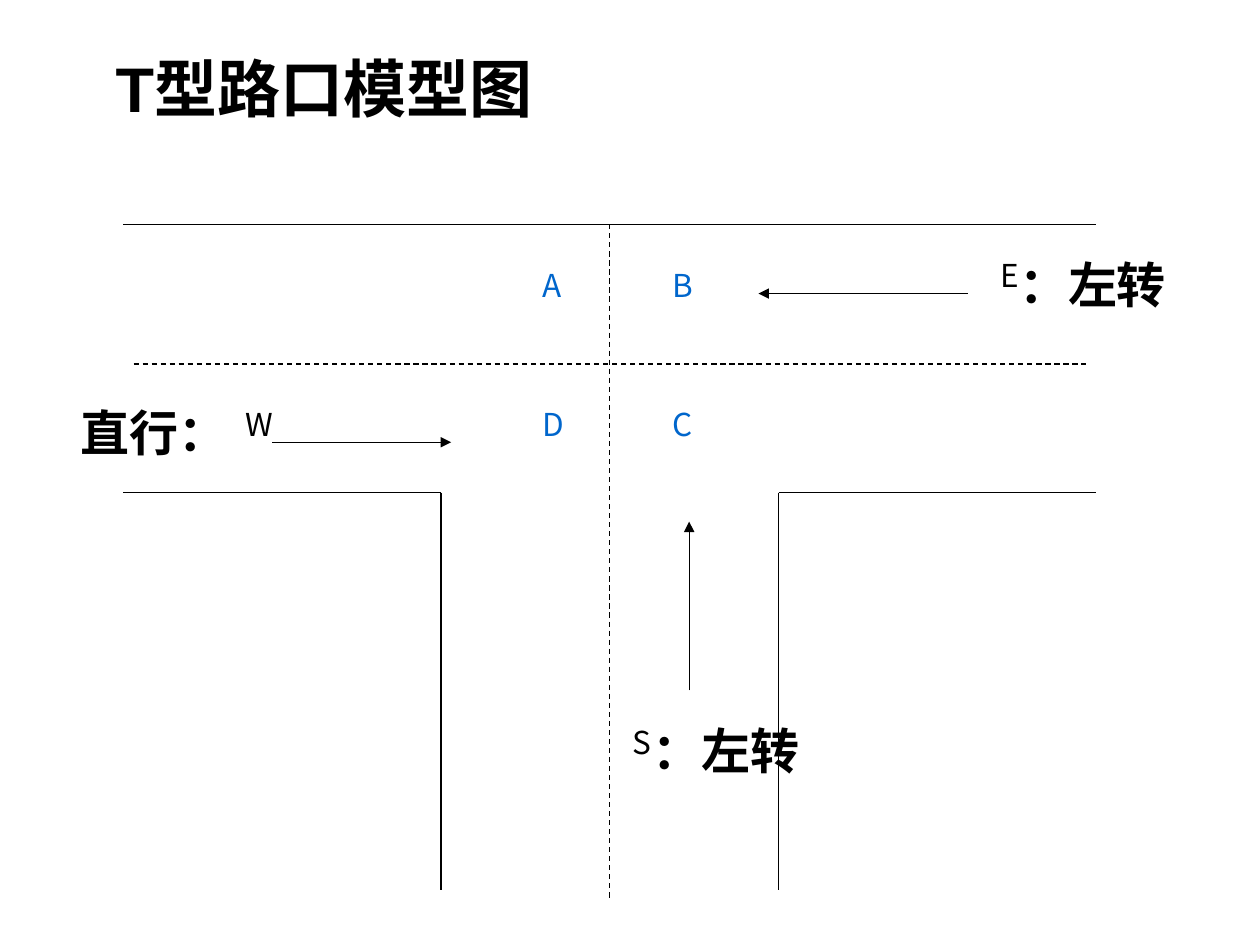
from typing import NamedTuple

from lxml import etree
from pptx import Presentation
from pptx import util as u
from pptx.dml.color import RGBColor
from pptx.enum import dml, shapes, text
from pptx.oxml.ns import qn

BLACK, BLUE = "000000", "0066CC"
LATIN_FONT, CJK_FONT = "Arial", "Noto Sans CJK SC"

# Road geometry in inches
ROAD_LEFT, ROAD_RIGHT = 0.98, 8.7
ROAD_TOP, ROAD_BOTTOM = 1.78, 3.91
BRANCH_LEFT, BRANCH_RIGHT, BRANCH_END = 3.5, 6.18, 7.06
CENTER_X, CENTER_Y = (BRANCH_LEFT + BRANCH_RIGHT) / 2, 2.89
LABEL_WIDTH, LABEL_HEIGHT = 0.25, 0.57


class Line(NamedTuple):
    x1: float
    y1: float
    x2: float
    y2: float
    dashed: bool = False
    arrow: bool = False


class Label(NamedTuple):
    content: str
    left: float
    top: float
    width: float = LABEL_WIDTH
    height: float = LABEL_HEIGHT
    size: int = 18
    color: str = BLACK
    font: str = CJK_FONT
    bold: bool = False
    wrap: bool = False


ROAD_LINES = [
    Line(ROAD_LEFT, ROAD_TOP, ROAD_RIGHT, ROAD_TOP),
    Line(ROAD_LEFT, ROAD_BOTTOM, BRANCH_LEFT, ROAD_BOTTOM),
    Line(BRANCH_RIGHT, ROAD_BOTTOM, ROAD_RIGHT, ROAD_BOTTOM),
    *(Line(x, ROAD_BOTTOM, x, BRANCH_END) for x in (BRANCH_LEFT, BRANCH_RIGHT)),
    Line(1.06, CENTER_Y, 8.62, CENTER_Y, dashed=True),
    Line(CENTER_X, ROAD_TOP, CENTER_X, 7.14, dashed=True),
]
TRAFFIC_ARROWS = [
    Line(7.68, 2.33, 6.02, 2.33, arrow=True),
    Line(2.16, 3.51, 3.58, 3.51, arrow=True),
    Line(5.47, 5.48, 5.47, 4.14, arrow=True),
]
ZONES = [
    Label(name, left, top, color=BLUE)
    for name, left, top in (
        ("A", 4.21, 2.1), ("B", 5.24, 2.1), ("C", 5.24, 3.2), ("D", 4.21, 3.2),
    )
]
DIRECTIONS = [Label("E", 7.84, 2.02), Label("W", 1.85, 3.2), Label("S", 4.92, 5.72)]
BOLD_TEXT = {"font": LATIN_FONT, "bold": True}
MOVEMENTS = [
    Label("：左转", 7.99, 2.02, 1.73, size=28, wrap=True, **BOLD_TEXT),
    Label("直行：", 0.54, 3.2, 1.37, size=28, **BOLD_TEXT),
    Label("：左转", 5.08, 5.72, 2.05, size=28, wrap=True, **BOLD_TEXT),
]
TITLE = Label("T型路口模型图", 0.82, 0.41, 7.73, 0.7, size=36, wrap=True, **BOLD_TEXT)


def rgb(color: str) -> RGBColor:
    return RGBColor.from_string(color)


def set_attributes(target, values: dict) -> None:
    for name, value in values.items():
        setattr(target, name, value)


def draw_line(slide, line: Line) -> None:
    connector = slide.shapes.add_connector(
        shapes.MSO_CONNECTOR.STRAIGHT,
        *(u.Inches(value) for value in (line.x1, line.y1, line.x2, line.y2)),
    )
    connector.line.color.rgb = rgb(BLACK)
    connector.line.width = u.Pt(0.75)
    if line.dashed:
        connector.line.dash_style = dml.MSO_LINE.DASH
    if line.arrow:
        etree.SubElement(connector.line._get_or_add_ln(), qn("a:tailEnd"), type="triangle")
    etree.SubElement(connector._element.spPr, qn("a:effectLst"))


def draw_label(slide, label: Label) -> None:
    shape = slide.shapes.add_textbox(
        *(u.Inches(value) for value in (label.left, label.top, label.width, label.height))
    )
    frame = shape.text_frame
    set_attributes(frame, {
        "word_wrap": label.wrap,
        "auto_size": text.MSO_AUTO_SIZE.NONE,
        "vertical_anchor": text.MSO_ANCHOR.TOP,
    })
    paragraph = frame.paragraphs[0]
    paragraph.line_spacing = 0.9
    run = paragraph.add_run()
    run.text = label.content
    set_attributes(run.font, {
        "name": label.font,
        "size": u.Pt(label.size),
        "bold": label.bold,
    })
    run.font.color.rgb = rgb(label.color)
    etree.SubElement(run._r.get_or_add_rPr(), qn("a:ea"), typeface=CJK_FONT)


def main() -> None:
    presentation = Presentation()
    presentation.slide_width = u.Inches(10)
    presentation.slide_height = u.Inches(7.5)
    slide = presentation.slides.add_slide(presentation.slide_layouts[6])
    for line in ROAD_LINES + TRAFFIC_ARROWS:
        draw_line(slide, line)
    for label in [*ZONES, *DIRECTIONS, *MOVEMENTS, TITLE]:
        draw_label(slide, label)
    presentation.save("out.pptx")


if __name__ == "__main__":
    main()
